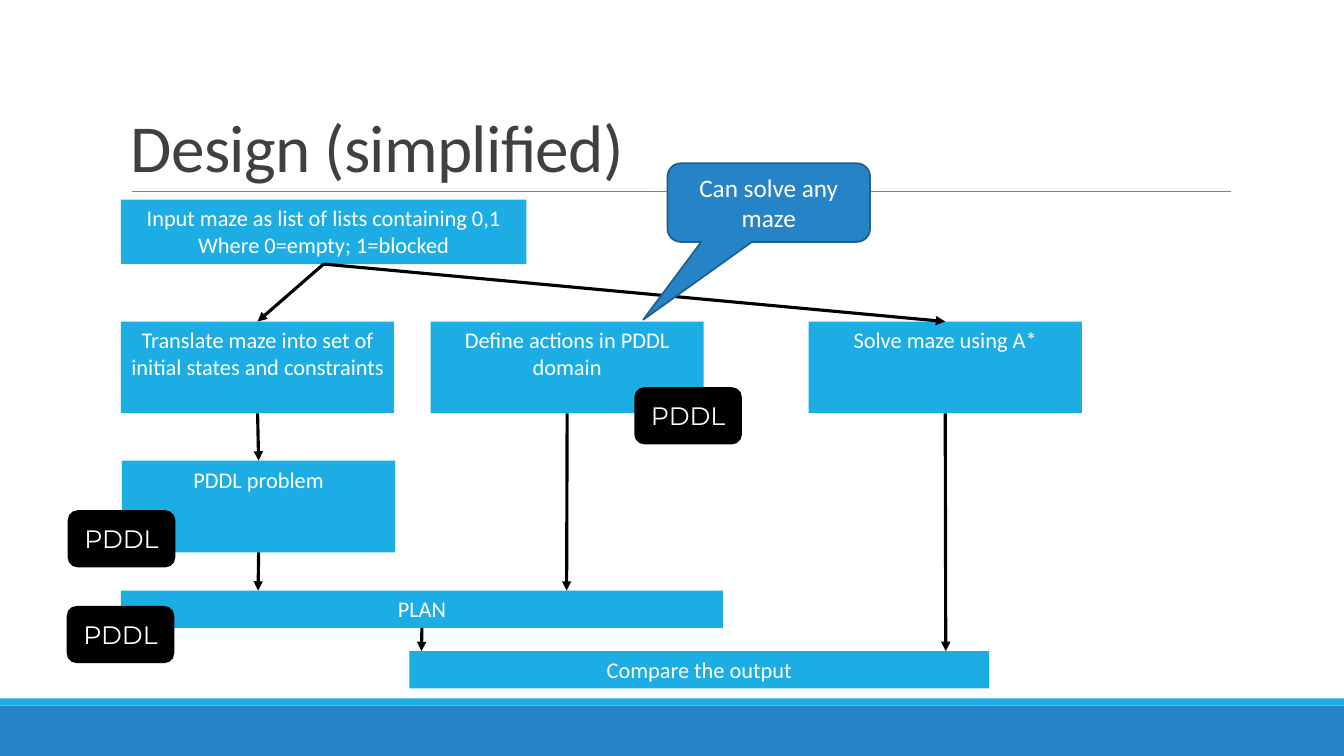
import pptx
import pptx.util
import pptx.dml.color
import pptx.enum.shapes
import pptx.enum.text
import pptx.oxml.ns
import lxml.etree

PX = 9144
BLUE = "2683C6"
SKY = "1CADE4"
WHITE = "FFFFFF"
BLACK = "000000"
TOP, BOTTOM = 0, 2
SHAPES = pptx.enum.shapes.MSO_SHAPE
ANCHOR = pptx.enum.text.MSO_ANCHOR
ALIGN = pptx.enum.text.PP_ALIGN


def px(*lengths):
    return [pptx.util.Emu(length * PX) for length in lengths]


def colour(hex_text):
    return pptx.dml.color.RGBColor.from_string(hex_text)


def apply(target, values):
    for name, value in values.items():
        setattr(target, name, value)


def write(shape, lines, size, font="Calibri", ink=WHITE, anchor=ANCHOR.TOP,
          align=ALIGN.CENTER, spacing=None, tracking=None):
    frame = shape.text_frame
    apply(frame, {"word_wrap": True, "vertical_anchor": anchor,
                  "auto_size": pptx.enum.text.MSO_AUTO_SIZE.NONE})
    for index, line in enumerate(lines):
        para = frame.add_paragraph() if index else frame.paragraphs[0]
        apply(para, {"alignment": align, "line_spacing": spacing})
        span = para.add_run()
        span.text = line
        apply(span.font, {"size": pptx.util.Pt(size), "name": font})
        span.font.color.rgb = colour(ink)
        if tracking is not None:
            span.font._element.set("spc", str(tracking))


def add_shape(page, kind, place, fill, outline=None):
    shape = page.shapes.add_shape(kind, *px(*place))
    shape.shadow.inherit = False
    shape.fill.solid()
    shape.fill.fore_color.rgb = colour(fill)
    if outline:
        shape.line.color.rgb = colour(outline)
        shape.line.width = pptx.util.Pt(1.25)
    else:
        shape.line.fill.background()
    return shape


def add_step(page, place, *lines):
    box = add_shape(page, SHAPES.RECTANGLE, place, SKY)
    write(box, lines, 16)
    return box


def add_badge(page, left, top):
    badge = add_shape(page, SHAPES.ROUNDED_RECTANGLE, (left, top, 105, 55), BLACK, BLACK)
    write(badge, ["PDDL"], 18, "Montserrat", anchor=ANCHOR.MIDDLE)


def add_line(page, start, end, ink, width):
    line = page.shapes.add_connector(
        pptx.enum.shapes.MSO_CONNECTOR.STRAIGHT, *px(*start, *end))
    line.line.color.rgb = colour(ink)
    line.line.width = pptx.util.Pt(width)
    lxml.etree.SubElement(line._element.spPr, pptx.oxml.ns.qn("a:effectLst"))
    return line


def add_arrow(page, source, target=None, end=(0, 0)):
    arrow = add_line(page, (0, 0), end, BLACK, 2.25)
    arrow.begin_connect(source, BOTTOM)
    if target is not None:
        arrow.end_connect(target, TOP)
    head = lxml.etree.SubElement(arrow.line._get_or_add_ln(), pptx.oxml.ns.qn("a:tailEnd"))
    head.set("type", "triangle")


def add_frame(page):
    add_shape(page, SHAPES.RECTANGLE, (0, 700, 1333, 50), BLUE)
    add_shape(page, SHAPES.RECTANGLE, (0, 693, 1333, 7), SKY)
    add_line(page, (131, 190), (1221, 190), "808080", 0.5)
    title = page.shapes.add_textbox(*px(120, 31, 1100, 159))
    write(title, ["Design (simplified)"], 48, ink="404040", anchor=ANCHOR.BOTTOM,
          align=ALIGN.LEFT, spacing=0.85, tracking=-50)


def add_flow(page):
    maze = add_step(page, (120, 198, 402, 64),
                    "Input maze as list of lists containing 0,1",
                    "Where 0=empty; 1=blocked")
    translate = add_step(page, (120, 319, 271, 91),
                         "Translate maze into set of initial states and constraints")
    problem = add_step(page, (121, 457, 271, 91), "PDDL problem")
    domain = add_step(page, (427, 319, 271, 91), "Define actions in PDDL domain")
    plan = add_step(page, (120, 586, 597, 37), "PLAN")
    add_step(page, (406, 646, 575, 37), "Compare the output")
    solve = add_step(page, (802, 319, 271, 91), "Solve maze using A*")

    for source, target in ((maze, translate), (maze, solve), (translate, problem)):
        add_arrow(page, source, target)
    for source, end in ((problem, (256, 586)), (domain, (562, 586)),
                        (plan, (418, 646)), (solve, (938, 646))):
        add_arrow(page, source, end=end)


def add_callout(page):
    callout = add_shape(page, SHAPES.ROUNDED_RECTANGULAR_CALLOUT,
                        (662, 162, 201, 78), BLUE, "1C6192")
    for index, value in enumerate((-0.62, 1.49, 0.17)):
        callout.adjustments[index] = value
    write(callout, ["Can solve any maze"], 18, anchor=ANCHOR.MIDDLE)


def main():
    deck = pptx.Presentation()
    apply(deck, dict(zip(("slide_width", "slide_height"), px(1333, 750))))
    page = deck.slides.add_slide(deck.slide_layouts[6])
    add_frame(page)
    add_flow(page)
    for left, top in ((68, 507), (630, 385), (67, 602)):
        add_badge(page, left, top)
    add_callout(page)
    deck.save("out.pptx")


if __name__ == "__main__":
    main()
